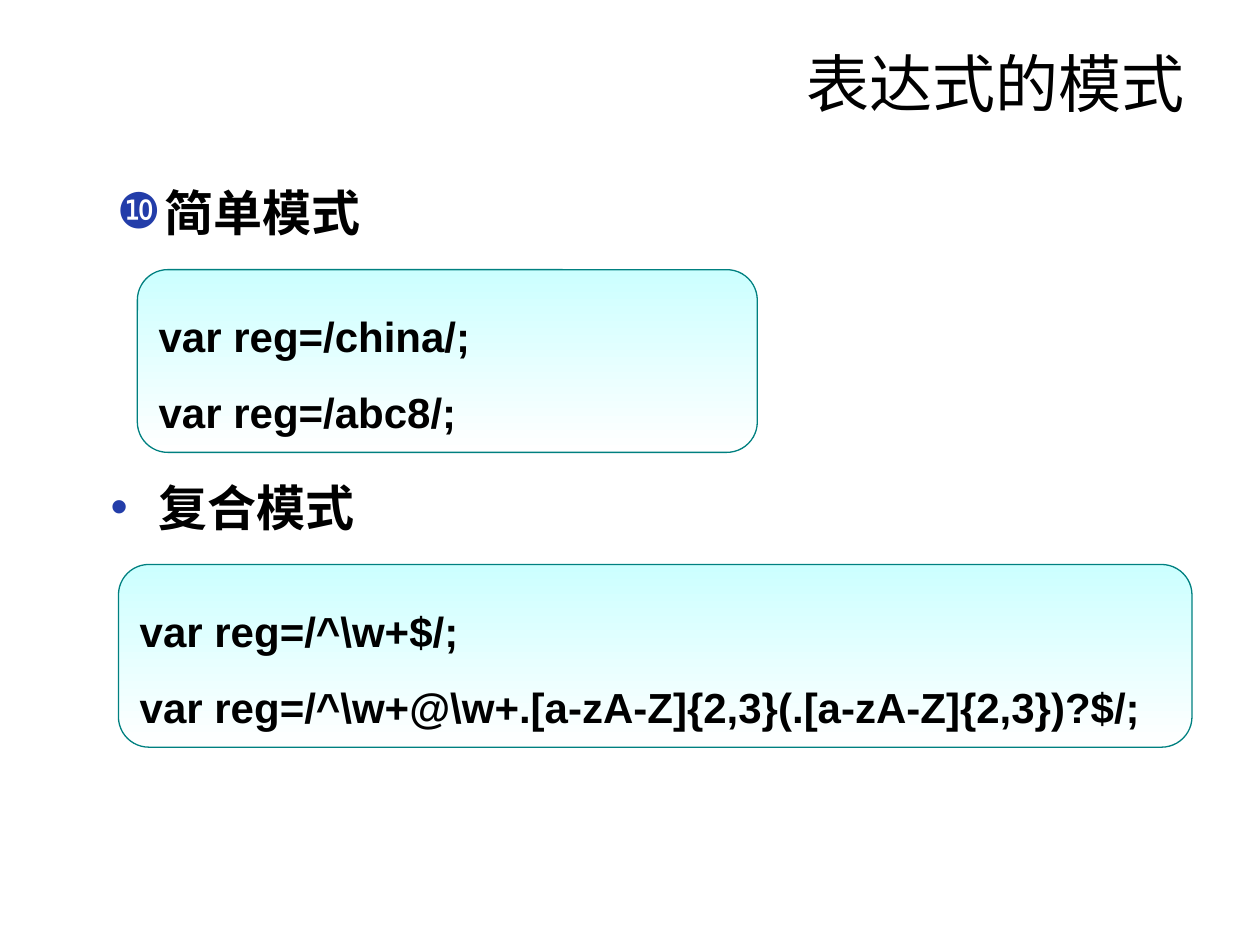
from lxml import etree
from pptx import Presentation, util as u
from pptx.dml.color import RGBColor as Rgb
from pptx.enum import shapes, text
from pptx.oxml.ns import qn

# Content: place is left, top, width, height in inches
TITLE = ("表达式的模式", (0.5, 0.3, 9, 1.25))
HEADS = [
    ("简单模式", "❿", (0.83, 1.4, 8.67, 0.79)),
    ("复合模式", "•", (0.78, 3.74, 8.67, 0.79)),
]
CODES = [
    (["var reg=/china/;", "var reg=/abc8/;"], (1.09, 2.14, 4.92, 1.45)),
    ([r"var reg=/^\w+$/;",
      r"var reg=/^\w+@\w+.[a-zA-Z]{2,3}(.[a-zA-Z]{2,3})?$/;"],
     (0.94, 4.48, 8.52, 1.45)),
]

THEME = {
    "ink": "000000", "mark": "233DA9", "edge": "008080",
    "fade": ("CCFFFF", "FFFFFF"), "indent": 0.38,
    "title": {"name": "Arial", "size": u.Pt(36), "bold": False},
    "head": {"name": "Arial", "size": u.Pt(28), "bold": True},
    "code": {"name": "Arial", "size": u.Pt(24), "bold": True},
}


def inches(place):
    return [u.Inches(n) for n in place]


def write(shape, lines, style, anchor, form):
    frame = shape.text_frame
    frame.word_wrap = True
    frame.vertical_anchor = anchor
    frame.text = "\n".join(lines)
    for para in frame.paragraphs:
        for key, val in form.items():
            setattr(para, key, val)
        font = para.runs[0].font
        for key, val in THEME[style].items():
            setattr(font, key, val)
        font.color.rgb = Rgb.from_string(THEME["ink"])
    return frame.paragraphs


def bullet(para, char):
    props = para._p.get_or_add_pPr()
    gap = u.Inches(THEME["indent"])
    props.set("marL", str(gap))
    props.set("indent", str(-gap))
    tint = etree.SubElement(props, qn("a:buClr"))
    etree.SubElement(tint, qn("a:srgbClr"), val=THEME["mark"])
    etree.SubElement(props, qn("a:buFont"), typeface="Arial")
    etree.SubElement(props, qn("a:buChar"), char=char)


def panel(slide, lines, place):
    box = slide.shapes.add_shape(
        shapes.MSO_SHAPE.ROUNDED_RECTANGLE, *inches(place))
    box.shadow.inherit = False
    box.fill.gradient()
    box.fill.gradient_angle = 270  # top to bottom
    for stop, tint in zip(box.fill.gradient_stops, THEME["fade"]):
        stop.color.rgb = Rgb.from_string(tint)
    box.line.color.rgb = Rgb.from_string(THEME["edge"])
    box.line.width = u.Pt(0.75)
    write(box, lines, "code", text.MSO_ANCHOR.MIDDLE,
          {"alignment": text.PP_ALIGN.LEFT, "line_spacing": 1.5})


def main():
    deck = Presentation()
    deck.slide_width, deck.slide_height = inches((10, 7.5))
    slide = deck.slides.add_slide(deck.slide_layouts[6])

    # Title
    words, place = TITLE
    box = slide.shapes.add_textbox(*inches(place))
    write(box, [words], "title", text.MSO_ANCHOR.TOP,
          {"alignment": text.PP_ALIGN.RIGHT})

    # Bulleted headings
    for words, char, place in HEADS:
        box = slide.shapes.add_textbox(*inches(place))
        paras = write(box, [words], "head", text.MSO_ANCHOR.TOP,
                      {"space_before": u.Pt(5.6)})
        bullet(paras[0], char)

    # Code panels
    for lines, place in CODES:
        panel(slide, lines, place)

    deck.save("out.pptx")


if __name__ == "__main__":
    main()
